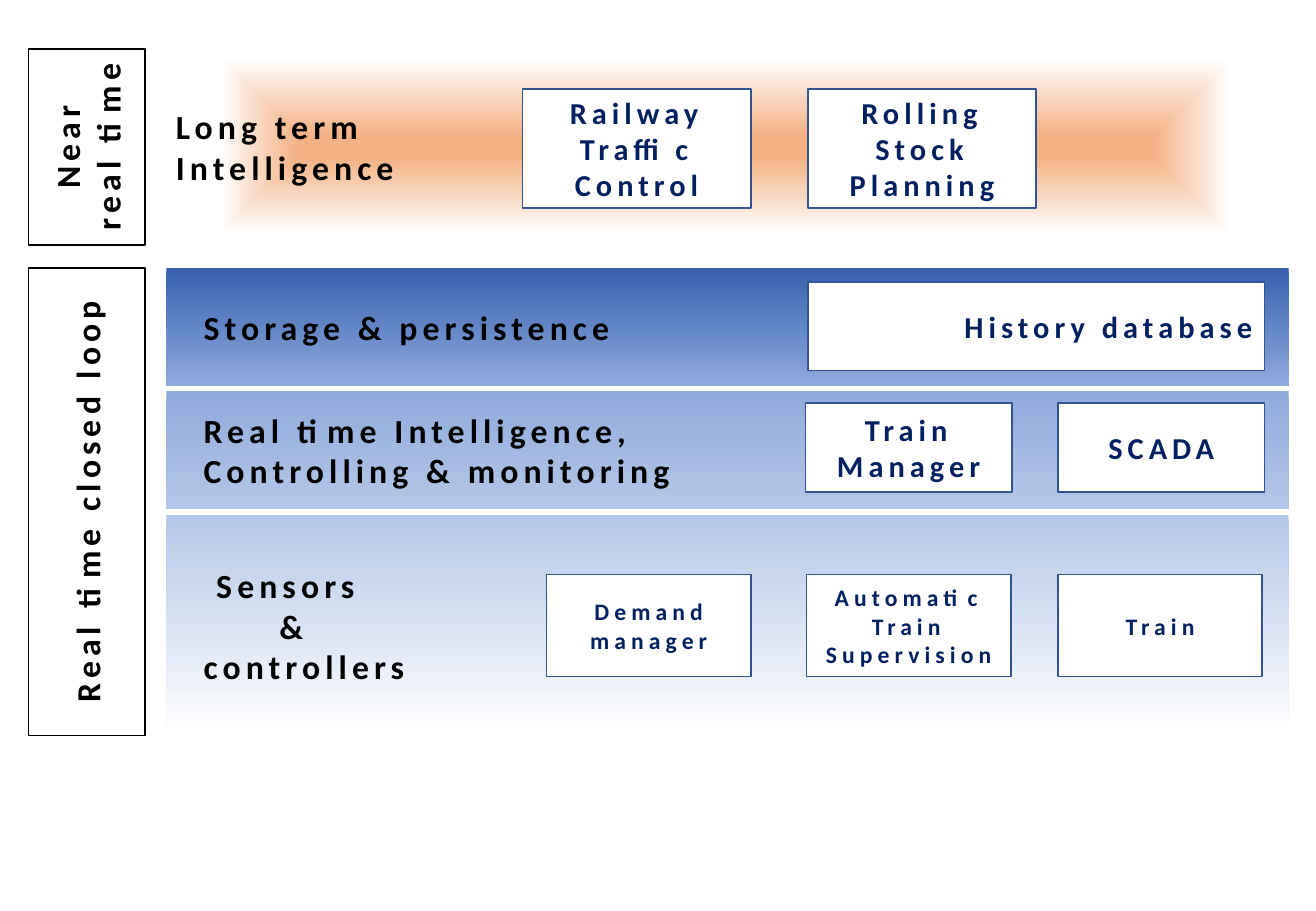
from lxml import etree
from pptx import Presentation
from pptx.dml.color import RGBColor
from pptx.enum.shapes import MSO_SHAPE
from pptx.enum.text import MSO_ANCHOR, PP_ALIGN
from pptx.oxml.ns import qn
from pptx.util import Pt

RECTANGLE = MSO_SHAPE.RECTANGLE
MIDDLE = MSO_ANCHOR.MIDDLE
LEFT, CENTER, RIGHT = PP_ALIGN.LEFT, PP_ALIGN.CENTER, PP_ALIGN.RIGHT

COLORS = {
    "white": "FFFFFF",
    "black": "000000",
    "navy": "002060",
    "border": "325491",
    "orange": "F4B183",
    "deep": "3762AF",
    "mid": "8FAADC",
    "pale": "B4C7E7",
}
FONT = {"name": "Calibri", "bold": True}
FRAME = {"word_wrap": True, "vertical_anchor": MIDDLE}
LETTER_SPACING = "300"


def color(name):
    return RGBColor.from_string(COLORS[name])


def apply(target, values):
    for key, value in values.items():
        setattr(target, key, value)


class LayerDiagram:
    def __init__(self, slide):
        self.slide = slide

    def rectangle(self, left, top, width, height, border=None):
        shape = self.slide.shapes.add_shape(
            RECTANGLE, Pt(left), Pt(top), Pt(width), Pt(height))
        shape.shadow.inherit = False
        if border:
            shape.line.color.rgb = color(border)
            shape.line.width = Pt(1)
        else:
            shape.line.fill.background()
        return shape

    def label(self, shape, lines, size, ink, align, indents=()):
        frame = shape.text_frame
        apply(frame, FRAME)
        frame.text = "\n".join(lines)
        for paragraph in frame.paragraphs:
            paragraph.alignment = align
            for run in paragraph.runs:
                apply(run.font, {**FONT, "size": Pt(size)})
                run.font.color.rgb = color(ink)
                run._r.get_or_add_rPr().set("spc", LETTER_SPACING)
        for paragraph, indent in zip(frame.paragraphs, indents):
            properties = paragraph._p.get_or_add_pPr()
            properties.set("marL", str(Pt(indent)))
            properties.set("indent", "0")

    def gradient(self, shape, first, last, positions=(0, 1)):
        shape.fill.gradient()
        shape.fill.gradient_angle = 270
        for stop, name, position in zip(
                shape.fill.gradient_stops, (first, last), positions):
            stop.color.rgb = color(name)
            stop.position = position

    def glow(self, left, top, width, height, lines):
        shape = self.rectangle(left, top, width, height)
        self.gradient(shape, "orange", "white", (0.1, 0.9))
        linear = shape.element.spPr.find(qn("a:gradFill")).find(qn("a:lin"))
        radial = etree.Element(qn("a:path"), {"path": "shape"})
        sides = dict.fromkeys("ltrb", "50000")
        etree.SubElement(radial, qn("a:fillToRect"), sides)
        linear.getparent().replace(linear, radial)
        self.label(shape, lines, 20, "black", LEFT)

    def band(self, top, height, first, last, lines, indents):
        shape = self.rectangle(98.6, top, 665.3, height)
        self.gradient(shape, first, last)
        self.label(shape, lines, 20, "black", LEFT, indents)

    def component(self, left, top, width, height, lines, size=18, align=CENTER):
        shape = self.rectangle(left, top, width, height, "border")
        shape.fill.solid()
        shape.fill.fore_color.rgb = color("white")
        self.label(shape, lines, size, "navy", align)

    def side_label(self, middle, length, lines):
        thickness = 69.1
        shape = self.rectangle(51.5 - length / 2, middle - thickness / 2,
                               length, thickness, "black")
        shape.rotation = 270
        shape.fill.background()
        self.label(shape, lines, 20, "black", CENTER)


def main():
    deck = Presentation()
    deck.slide_width, deck.slide_height = Pt(780), Pt(540)
    diagram = LayerDiagram(deck.slides.add_slide(deck.slide_layouts[6]))

    diagram.glow(97.2, 28.8, 665.3, 115.9, ["Long term", "Intelligence"])
    for layer in (
        (159.1, 69.8, "deep", "mid", ["Storage & persistence"], [15]),
        (231.8, 69.8, "mid", "pale",
         ["Real time Intelligence,", "Controlling & monitoring"], [15, 15]),
        (305.3, 131, "pale", "white",
         ["Sensors", "&", "controllers"], [22.5, 60, 15]),
    ):
        diagram.band(*layer)

    diagram.side_label(87.1, 115.9, ["Near", "real time"])
    diagram.side_label(297.4, 277.2, ["Real time closed loop"])

    for left, name in ((309.6, "Railway Traffic Control"),
                       (478.8, "Rolling Stock Planning")):
        diagram.component(left, 52.6, 135.4, 70.6, [name])
    diagram.component(478.8, 167, 270.7, 52.6, ["History database"], align=RIGHT)
    for left, name in ((477.4, "Train Manager"), (627.1, "SCADA")):
        diagram.component(left, 239, 122.4, 52.6, [name])
    for left, lines in ((324, ["Demand", "manager"]),
                        (478.1, ["Automatic Train Supervision"]),
                        (627.1, ["Train"])):
        diagram.component(left, 340.6, 121, 60.5, lines, size=14)

    deck.save("out.pptx")


if __name__ == "__main__":
    main()
